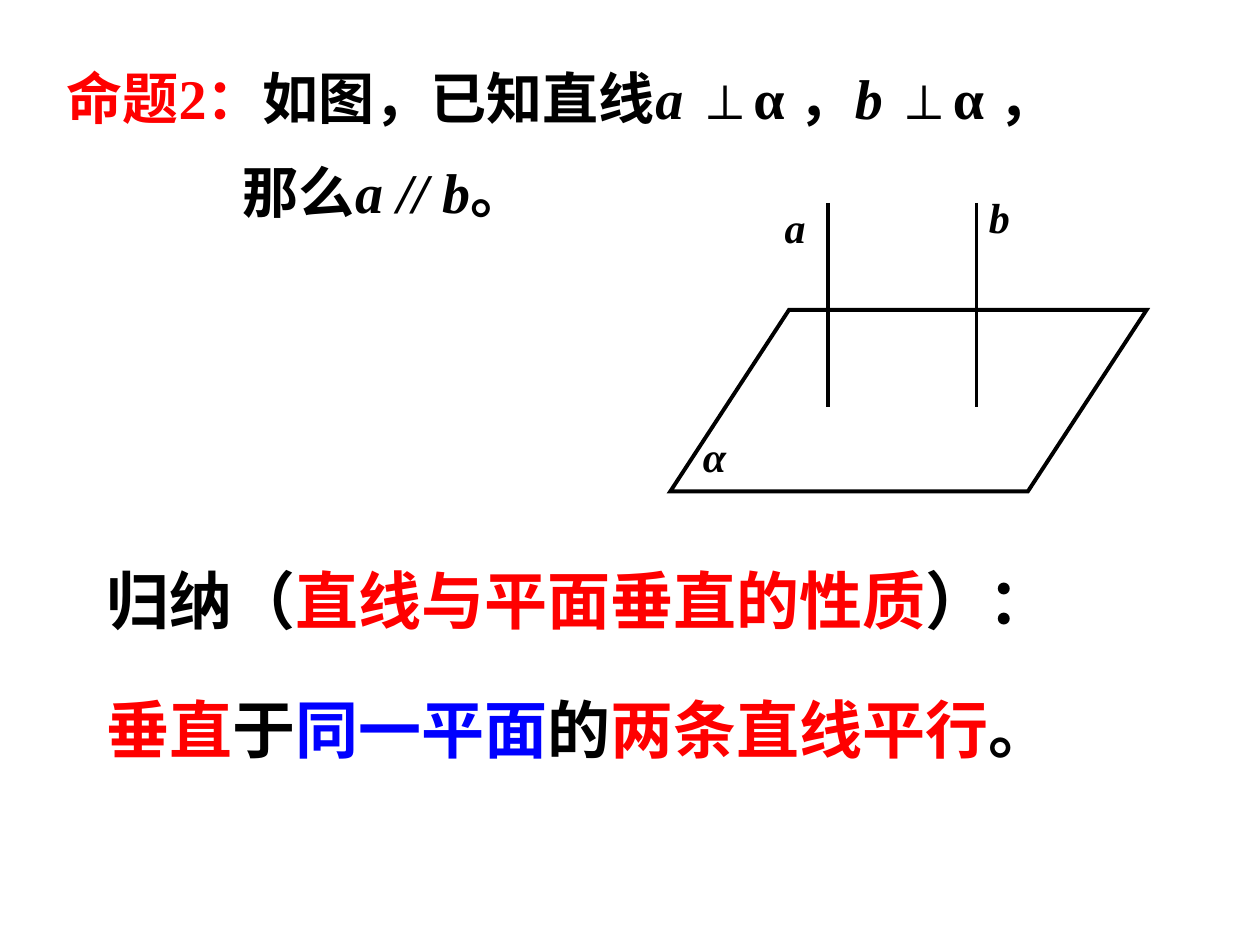
from lxml.etree import SubElement
from pptx import Presentation
from pptx.dml.color import RGBColor
from pptx.enum.shapes import MSO_CONNECTOR, MSO_SHAPE
from pptx.enum.text import MSO_ANCHOR
from pptx.oxml.ns import qn
from pptx.util import Inches, Pt

BLACK = RGBColor(0, 0, 0)
RED = RGBColor(255, 0, 0)
BLUE = RGBColor(0, 0, 255)
FONT = "Times New Roman"
LINE_WIDTH = Pt(2.25)


def add_span(para, text, size, color=BLACK, italic=False):
    span = para.add_run()
    span.text = text
    span.font.name = FONT
    span.font.size = Pt(size)
    span.font.bold = True
    span.font.italic = italic
    span.font.color.rgb = color


def add_text(shapes, left, top, width, height, paragraphs, size,
             spacing=1.0, wrap=True, anchor=MSO_ANCHOR.MIDDLE):
    box = shapes.add_textbox(Inches(left), Inches(top), Inches(width), Inches(height))
    frame = box.text_frame
    frame.word_wrap = wrap
    frame.vertical_anchor = anchor
    for index, spans in enumerate(paragraphs):
        para = frame.add_paragraph() if index else frame.paragraphs[0]
        para.line_spacing = spacing
        for text, style in spans:
            add_span(para, text, size, **style)
    return box


def indent_paragraph(para, distance):
    properties = para._p.get_or_add_pPr()
    properties.set("marL", str(Inches(distance)))
    properties.set("indent", "0")


def add_label(shapes, text, left, top):
    add_text(shapes, left, top, 0.36, 0.5, [[(text, {"italic": True})]], 24,
             wrap=False, anchor=MSO_ANCHOR.TOP)


def add_plane(shapes, left, top, width, height):
    plane = shapes.add_shape(MSO_SHAPE.PARALLELOGRAM, Inches(left), Inches(top),
                             Inches(width), Inches(height))
    plane.adjustments[0] = 0.654
    plane.shadow.inherit = False
    plane.fill.background()
    plane.line.color.rgb = BLACK
    plane.line.width = LINE_WIDTH
    SubElement(plane.line._get_or_add_ln(), qn("a:miter"), lim="800000")


def add_vertical_line(shapes, x, top, bottom):
    line = shapes.add_connector(MSO_CONNECTOR.STRAIGHT, Inches(x), Inches(top),
                                Inches(x), Inches(bottom))
    line.line.color.rgb = BLACK
    line.line.width = LINE_WIDTH
    SubElement(line._element.spPr, qn("a:effectLst"))


def add_diagram(page):
    shapes = page.shapes.add_group_shape().shapes
    add_plane(shapes, 5.32, 2.46, 3.78, 1.44)
    for x in (6.57, 7.75):
        add_vertical_line(shapes, x, 1.61, 3.23)
    for text, left, top in (("a", 6.13, 1.55), ("b", 7.75, 1.47), ("α", 5.48, 3.37)):
        add_label(shapes, text, left, top)


def main():
    deck = Presentation()
    deck.slide_width = Inches(10)
    deck.slide_height = Inches(7.5)
    page = deck.slides.add_slide(deck.slide_layouts[6])

    italic = {"italic": True}
    red = {"color": RED}
    proposition = add_text(page.shapes, 0.43, 0.24, 8.98, 1.6, [
        [("命题2：", red), ("如图，已知直线", {}), ("a", italic), (" ⊥α ，", {}),
         ("b", italic), (" ⊥α ，", {})],
        [("那么", {}), ("a // b", italic), ("。", {})],
    ], 32, spacing=1.4)
    indent_paragraph(proposition.text_frame.paragraphs[1], 1.4)

    add_diagram(page)

    add_text(page.shapes, 0.75, 3.99, 8.43, 2.14, [
        [("归纳（", {}), ("直线与平面垂直的性质", red), ("）：", {})],
        [("垂直", red), ("于", {}), ("同一平面", {"color": BLUE}), ("的", {}),
         ("两条直线平行", red), ("。", {})],
    ], 36, spacing=1.7)

    deck.save("out.pptx")


if __name__ == "__main__":
    main()
